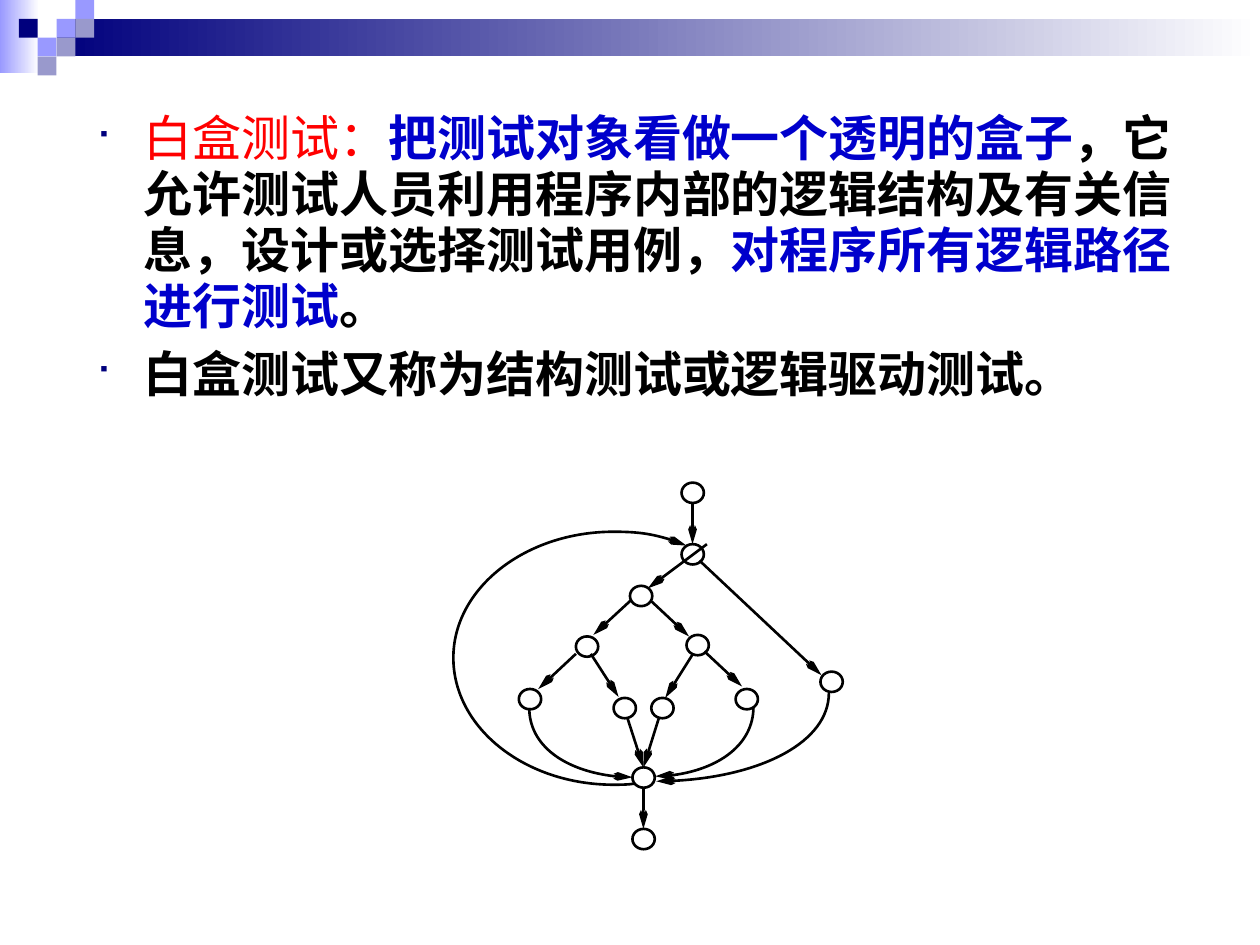
from typing import NamedTuple

from lxml import etree
from pptx import Presentation
from pptx.dml.color import RGBColor
from pptx.enum.shapes import MSO_CONNECTOR, MSO_SHAPE
from pptx.oxml.ns import qn
from pptx.util import Cm, Pt

RECTANGLE = MSO_SHAPE.RECTANGLE
OVAL = MSO_SHAPE.OVAL
STRAIGHT = MSO_CONNECTOR.STRAIGHT

NAVY, LILAC, GREY_LILAC = "00007D", "9999FF", "9999CC"
WHITE, BLACK, RED, BLUE = "FFFFFF", "000000", "FF0000", "0000CC"
FONT = "Times New Roman"
BULLET_FONT = "Wingdings"
TILE = 0.38
NODE_WIDTH, NODE_HEIGHT = 0.45, 0.41
LINE_WIDTH = Pt(1.5)

Point = tuple[float, float]


class Tile(NamedTuple):
    column: int
    row: int
    color: str


class TextPart(NamedTuple):
    text: str
    color: str = BLACK
    bold: bool = True


class Edge(NamedTuple):
    start: Point
    end: Point


class Curve(NamedTuple):
    """A start point followed by three points for each Bézier segment."""
    points: list[Point]


TILES = [
    Tile(3, 1, LILAC), Tile(4, 0, LILAC), Tile(4, 1, GREY_LILAC), Tile(2, 2, LILAC),
    Tile(1, 1, NAVY), Tile(3, 2, GREY_LILAC), Tile(2, 3, GREY_LILAC),
]

PARAGRAPHS = [
    [
        TextPart("白盒测试：", RED, False),
        TextPart("把测试对象看做一个透明的盒子", BLUE),
        TextPart("，它允许测试人员利用程序内部的逻辑结构及有关信息，设计或选择测试用例，"),
        TextPart("对程序所有逻辑路径进行测试", BLUE),
        TextPart("。"),
    ],
    [TextPart("白盒测试又称为结构测试或逻辑驱动测试。")],
]

NODES = [
    (13.74, 9.73), (13.74, 10.97), (12.7, 11.81), (11.61, 12.83),
    (13.84, 12.8), (10.46, 13.89), (12.37, 14.07), (13.13, 14.07),
    (14.83, 13.89), (12.75, 15.47), (12.75, 16.71), (16.54, 13.54),
]

EDGES = [
    Edge((13.96, 10.13), (13.96, 10.97)),
    Edge((14.25, 10.97), (13.06, 11.86)),
    Edge((12.73, 12.09), (11.96, 12.8)),
    Edge((13.13, 12.12), (13.89, 12.83)),
    Edge((11.61, 13.18), (10.85, 13.89)),
    Edge((11.91, 13.18), (12.47, 14.05)),
    Edge((14.2, 13.13), (14.96, 13.84)),
    Edge((13.97, 13.18), (13.41, 14.07)),
    Edge((12.65, 14.48), (12.97, 15.47)),
    Edge((13.28, 14.48), (12.97, 15.47)),
    Edge((12.97, 15.88), (12.97, 16.71)),
    Edge((14.1, 11.3), (16.56, 13.61)),
]

CURVES = [
    Curve([(12.78, 15.8), (12.65, 15.82), (12.5, 15.82), (12.37, 15.82),
           (10.59, 15.82), (9.14, 14.68), (9.14, 13.26),
           (9.14, 11.86), (10.59, 10.72), (12.37, 10.72),
           (12.88, 10.72), (13.39, 10.8), (13.84, 11)]),
    Curve([(10.67, 14.27), (10.67, 15.04), (11.58, 15.67), (12.75, 15.67)]),
    Curve([(15.19, 14.25), (15.19, 15.01), (14.3, 15.65), (13.21, 15.65)]),
    Curve([(16.71, 13.97), (16.71, 14.96), (15.16, 15.75), (13.23, 15.75)]),
]


def rgb(color: str) -> RGBColor:
    return RGBColor.from_string(color)


def add_box(slide, kind, left: float, top: float, width: float, height: float):
    shape = slide.shapes.add_shape(kind, Cm(left), Cm(top), Cm(width), Cm(height))
    shape.shadow.inherit = False
    return shape


def add_gradient(slide, left: float, top: float, width: float, height: float, color: str) -> None:
    """Draw a band that fades to white from left to right."""
    shape = add_box(slide, RECTANGLE, left, top, width, height)
    shape.line.fill.background()
    shape.fill.gradient()
    shape.fill.gradient_angle = 0
    for stop, stop_color in zip(shape.fill.gradient_stops, (color, WHITE)):
        stop.color.rgb = rgb(stop_color)


def add_tile(slide, tile: Tile) -> None:
    shape = add_box(slide, RECTANGLE, tile.column * TILE, tile.row * TILE, TILE, TILE)
    shape.fill.solid()
    shape.fill.fore_color.rgb = rgb(tile.color)
    shape.line.fill.background()


def set_outline(shape) -> None:
    shape.line.color.rgb = rgb(BLACK)
    shape.line.width = LINE_WIDTH


def add_arrowhead(shape) -> None:
    line = shape.element.spPr.find(qn("a:ln"))
    etree.SubElement(line, qn("a:tailEnd"), type="arrow", w="sm", len="lg")


def add_node(slide, position: Point) -> None:
    shape = add_box(slide, OVAL, *position, NODE_WIDTH, NODE_HEIGHT)
    shape.fill.background()
    set_outline(shape)


def add_edge(slide, edge: Edge) -> None:
    ends = [Cm(value) for value in (*edge.start, *edge.end)]
    connector = slide.shapes.add_connector(STRAIGHT, *ends)
    set_outline(connector)
    add_arrowhead(connector)
    etree.SubElement(connector.element.spPr, qn("a:effectLst"))


def bend_segments(shape, points: list[Point]) -> None:
    """Turn each straight segment of a freeform into a cubic Bézier."""
    segments = list(shape.element.iter(qn("a:lnTo")))
    for index, segment in enumerate(segments):
        segment.tag = qn("a:cubicBezTo")
        segment.clear()
        for x, y in points[3 * index + 1:3 * index + 4]:
            etree.SubElement(segment, qn("a:pt"), x=str(Cm(x) - shape.left), y=str(Cm(y) - shape.top))


def add_curve(slide, curve: Curve) -> None:
    start, *ends = [(Cm(x), Cm(y)) for x, y in curve.points[::3]]
    builder = slide.shapes.build_freeform(*start)
    builder.add_line_segments(ends, close=False)
    shape = builder.convert_to_shape()
    bend_segments(shape, curve.points)
    shape.shadow.inherit = False
    shape.fill.background()
    set_outline(shape)
    add_arrowhead(shape)


def add_bullet(paragraph) -> None:
    properties = paragraph._p.get_or_add_pPr()
    properties.set("marL", str(Cm(0.97)))
    properties.set("indent", str(Cm(-0.97)))
    color = etree.SubElement(properties, qn("a:buClr"))
    etree.SubElement(color, qn("a:srgbClr"), val=NAVY)
    etree.SubElement(properties, qn("a:buSzPct"), val="75000")
    etree.SubElement(properties, qn("a:buFont"), typeface=BULLET_FONT, charset="2")
    etree.SubElement(properties, qn("a:buChar"), char="■")


def add_body(slide) -> None:
    box = slide.shapes.add_textbox(Cm(1.68), Cm(2.13), Cm(22.28), Cm(13.39))
    frame = box.text_frame
    frame.word_wrap = True
    for index, parts in enumerate(PARAGRAPHS):
        paragraph = frame.add_paragraph() if index else frame.paragraphs[0]
        add_bullet(paragraph)
        paragraph.line_spacing = 0.95
        paragraph.space_before = Pt(7 if index else 0)
        for part in parts:
            run = paragraph.add_run()
            run.text = part.text
            run.font.name = FONT
            run.font.size = Pt(28)
            run.font.bold = part.bold
            run.font.color.rgb = rgb(part.color)


def main() -> None:
    presentation = Presentation()
    presentation.slide_width, presentation.slide_height = Cm(25.4), Cm(19.05)
    slide = presentation.slides.add_slide(presentation.slide_layouts[6])
    add_gradient(slide, 0, 0, 0.79, 1.47, LILAC)
    add_gradient(slide, 3 * TILE, TILE, 25.4 - 3 * TILE, 2 * TILE, NAVY)
    for item in TILES:
        add_tile(slide, item)
    add_body(slide)
    for draw, items in ((add_node, NODES), (add_edge, EDGES), (add_curve, CURVES)):
        for item in items:
            draw(slide, item)
    presentation.save("out.pptx")


if __name__ == "__main__":
    main()
